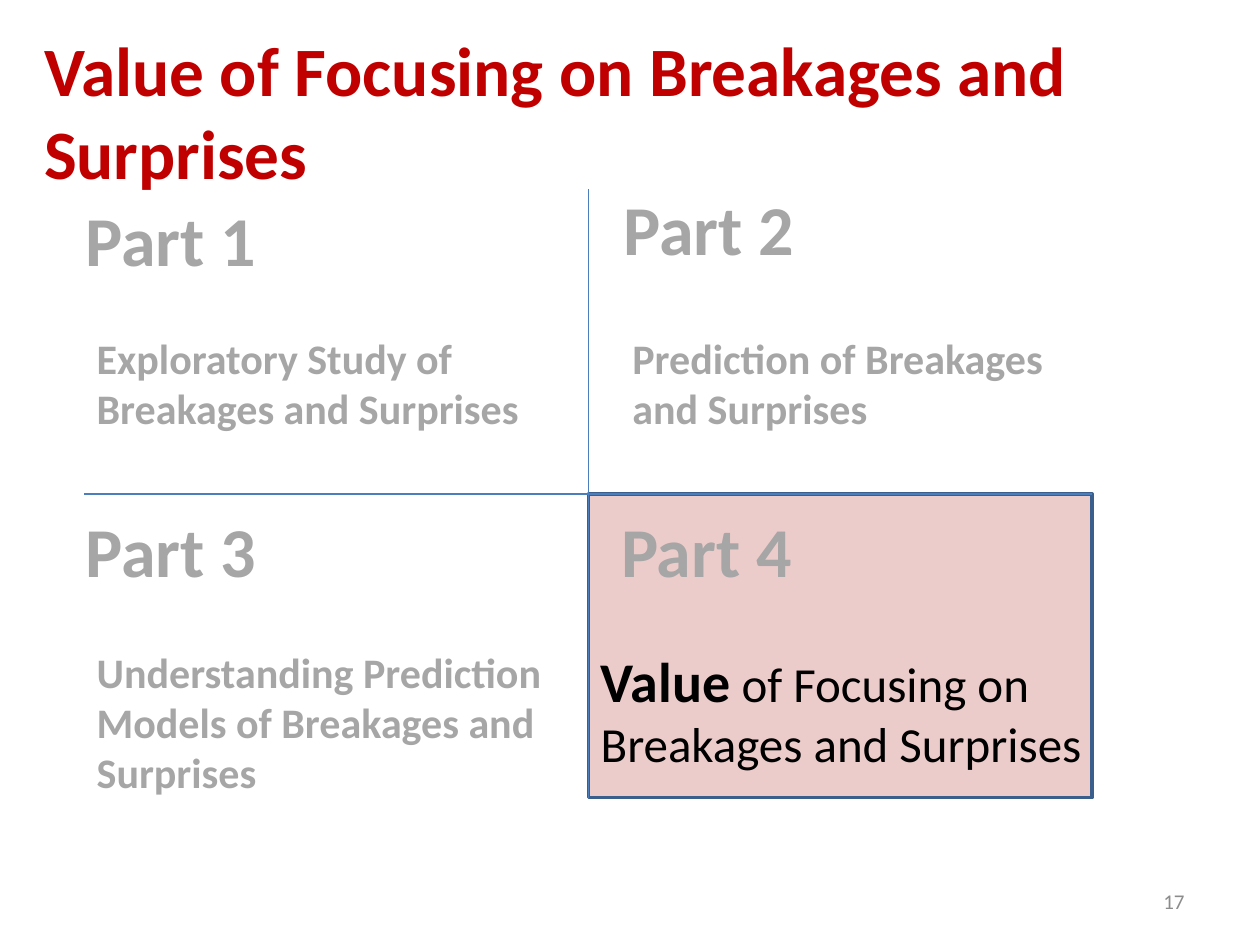
from dataclasses import dataclass

from lxml.etree import SubElement
from pptx import Presentation
from pptx.dml.color import RGBColor
from pptx.enum.shapes import MSO_CONNECTOR, MSO_SHAPE
from pptx.enum.text import MSO_ANCHOR, PP_ALIGN
from pptx.oxml.ns import qn
from pptx.util import Cm, Pt


@dataclass(frozen=True)
class Theme:
    font: str = "Calibri"
    title_color: RGBColor = RGBColor(0xC0, 0x00, 0x00)
    muted: RGBColor = RGBColor(0xA6, 0xA6, 0xA6)
    number_color: RGBColor = RGBColor(0x8C, 0x8C, 0x8C)
    black: RGBColor = RGBColor(0x00, 0x00, 0x00)
    highlight: RGBColor = RGBColor(0xC0, 0x50, 0x4D)
    highlight_alpha: int = 29
    border: RGBColor = RGBColor(0x3A, 0x5F, 0x8C)
    axis: RGBColor = RGBColor(0x4B, 0x7E, 0xBC)
    title_size: float = 39.6
    heading_size: int = 40
    topic_size: int = 24
    keyword_size: int = 32
    focus_size: int = 28
    number_size: int = 12


THEME = Theme()

# Quadrant grid, in centimetres
LEFT, CENTER, RIGHT = 1.7, 11.86, 22.02
TOP, MIDDLE, BOTTOM = 3.81, 9.96, 16.08

# Heading, its left and top; topic, its left and top
PARTS = [
    ("Part 1", 1.47, 3.84, "Exploratory Study of Breakages and Surprises", 1.7, 6.58),
    ("Part 2", 12.32, 3.61, "Prediction of Breakages and Surprises", 12.5, 6.58),
    ("Part 3", 1.47, 10.11,
     "Understanding Prediction Models of Breakages and Surprises", 1.7, 12.9),
    ("Part 4", 12.27, 10.11, None, None, None),
]


def style_font(font, size, color, bold=False):
    font.name = THEME.font
    font.size = Pt(size)
    font.bold = bold
    font.color.rgb = color


def add_text(page, text, left, top, width, height, size, color, bold=False,
             wrap=True, anchor=MSO_ANCHOR.TOP, align=PP_ALIGN.LEFT):
    box = page.shapes.add_textbox(Cm(left), Cm(top), Cm(width), Cm(height))
    frame = box.text_frame
    frame.word_wrap = wrap
    frame.vertical_anchor = anchor
    para = frame.paragraphs[0]
    para.text = text
    para.alignment = align
    style_font(para.font, size, color, bold)
    return para


def add_axis(page, x1, y1, x2, y2):
    axis = page.shapes.add_connector(
        MSO_CONNECTOR.STRAIGHT, Cm(x1), Cm(y1), Cm(x2), Cm(y2))
    axis.line.color.rgb = THEME.axis
    axis.line.width = Pt(0.75)
    SubElement(axis.element.spPr, qn("a:effectLst"))


def add_highlight(page):
    box = page.shapes.add_shape(
        MSO_SHAPE.RECTANGLE, Cm(CENTER), Cm(MIDDLE),
        Cm(RIGHT - CENTER), Cm(BOTTOM - MIDDLE))
    box.shadow.inherit = False
    box.fill.solid()
    box.fill.fore_color.rgb = THEME.highlight
    color = box.element.spPr.find(qn("a:solidFill"))[0]
    SubElement(color, qn("a:alpha"), val=str(THEME.highlight_alpha * 1000))
    box.line.color.rgb = THEME.border
    box.line.width = Pt(2)


def add_focus(page):
    para = add_text(page, "", CENTER, 12.9, 11, 2.82, THEME.focus_size, THEME.black)
    for text, size, bold in [
        ("Value", THEME.keyword_size, True),
        (" of Focusing on Breakages and Surprises", THEME.focus_size, False),
    ]:
        span = para.add_run()
        span.text = text
        style_font(span.font, size, THEME.black, bold)


def main():
    deck = Presentation()
    deck.slide_width, deck.slide_height = Cm(25.4), Cm(19.05)
    page = deck.slides.add_slide(deck.slide_layouts[6])

    # Quadrants
    add_highlight(page)
    add_axis(page, LEFT, MIDDLE, RIGHT, MIDDLE)
    add_axis(page, CENTER, TOP, CENTER, BOTTOM)

    # Parts
    for heading, x, y, topic, topic_x, topic_y in PARTS:
        add_text(page, heading, x, y, 3.99, 1.96, THEME.heading_size,
                 THEME.muted, bold=True, wrap=False)
        if topic:
            add_text(page, topic, topic_x, topic_y, 9.53, 2.31,
                     THEME.topic_size, THEME.muted, bold=True)
    add_focus(page)

    # Title and page number
    add_text(page, "Value of Focusing on Breakages and Surprises",
             0.64, 0.64, 23.5, 3.18, THEME.title_size, THEME.title_color,
             bold=True, anchor=MSO_ANCHOR.MIDDLE)
    add_text(page, "17", 18.21, 17.65, 5.92, 1.02, THEME.number_size,
             THEME.number_color, anchor=MSO_ANCHOR.MIDDLE, align=PP_ALIGN.RIGHT)

    deck.save("out.pptx")


if __name__ == "__main__":
    main()
